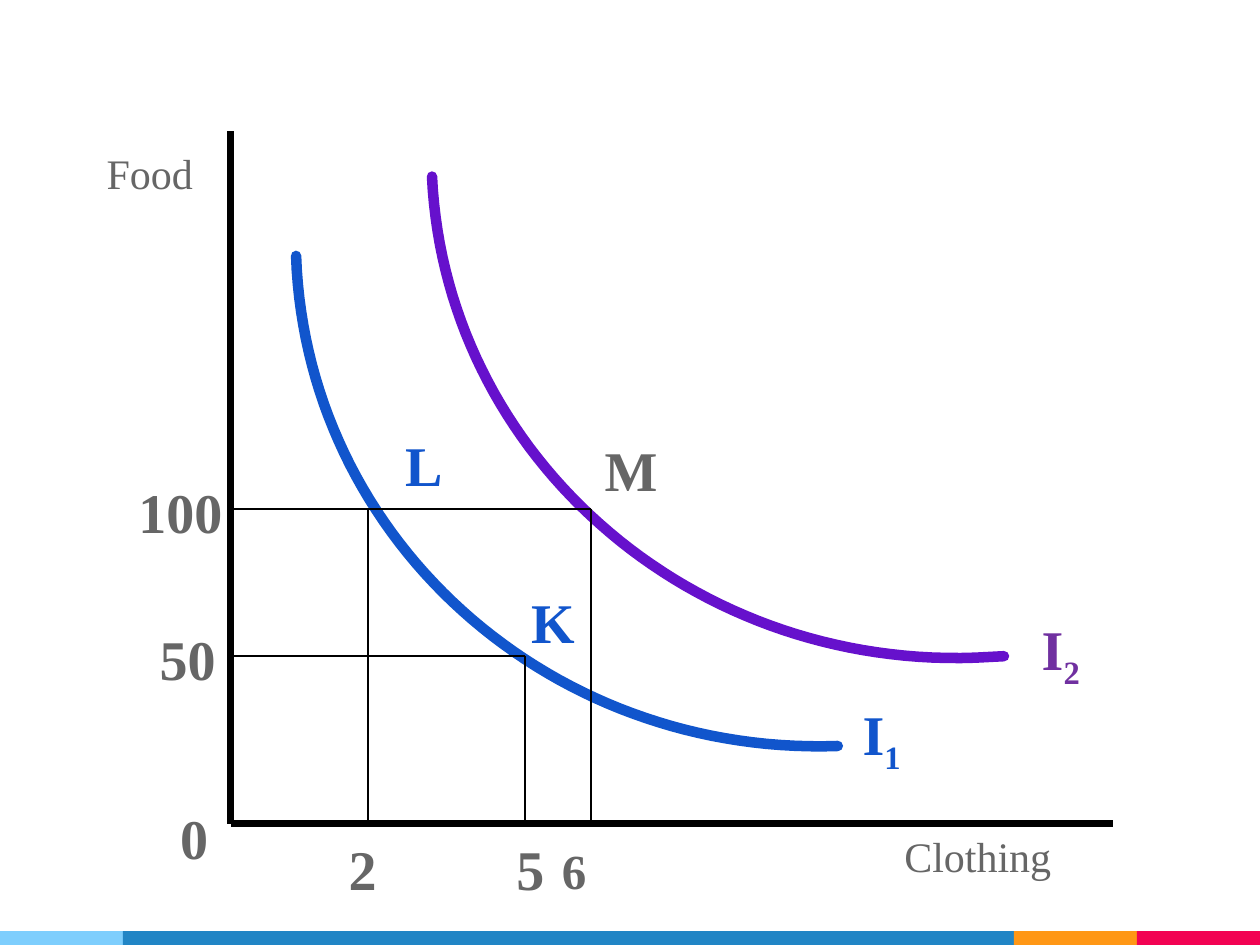
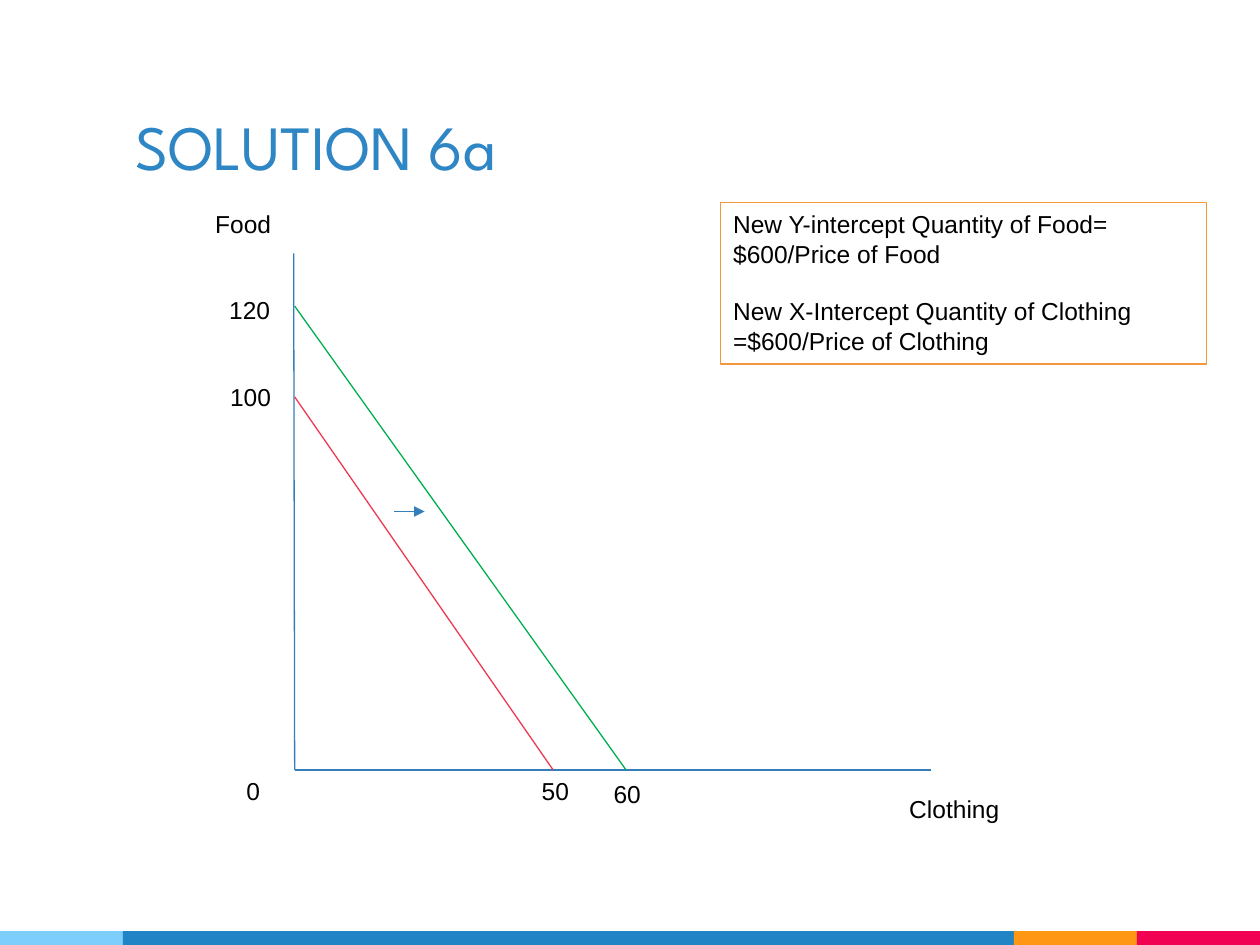
"""Build two economics slides: indifference curves and a budget line shift."""
from lxml import etree
from pptx import Presentation
from pptx.dml.color import RGBColor
from pptx.enum.shapes import MSO_CONNECTOR, MSO_SHAPE
from pptx.enum.text import MSO_ANCHOR, PP_ALIGN
from pptx.oxml.ns import qn
from pptx.util import Cm, Pt

STRAIGHT = MSO_CONNECTOR.STRAIGHT
RECTANGLE = MSO_SHAPE.RECTANGLE
TOP, BOTTOM = MSO_ANCHOR.TOP, MSO_ANCHOR.BOTTOM
LEFT, RIGHT = PP_ALIGN.LEFT, PP_ALIGN.RIGHT

COLORS = {
    "sky": "7ECEFD", "blue": "2185C5", "orange": "FF9715", "pink": "F20253",
    "black": "000000", "gray": "666666", "curve_blue": "1155CC",
    "curve_purple": "6611CC", "label_purple": "7030A0", "title": "2F86C5",
    "axis": "367EB9", "red": "ED3A53", "green": "00B050", "frame": "F4963D",
}
SERIF, SANS, TITLE_FONT = "Times New Roman", "Arial", "League Spartan"

BANDS = [("sky", 2.48), ("blue", 17.96), ("orange", 2.48), ("pink", 2.48)]
BAND_TOP, BAND_HEIGHT = 18.77, 0.28

CURVE_ORIGIN = (4.65, 16.61)
CURVE_AXIS_ENDS = [(4.65, 2.64), (22.43, 16.61)]
CURVES = [
    {"color": "curve_blue", "lead": [],
     "controls": [(16.89, 15.04), (11.05, 15.24), (6.17, 10.85), (5.97, 5.16)]},
    {"color": "curve_purple", "lead": [(20.24, 13.23)],
     "controls": [(19.66, 13.26), (13.84, 13.46), (8.97, 9.12), (8.71, 3.56)]},
]
BUNDLE_GUIDES = [(4.65, 7.42, 10.26), (4.65, 10.59, 13.23), (7.42, 11.92, 10.26)]
AXIS_NAMES = [
    ("Clothing", 17.98, 15.98, 4.88, 1.9),
    ("Food", 1.9, 2.21, 3.38, 1.9),
]
CURVE_LABELS = [
    ("0", "", 3.38, 15.98, 1.47, "gray"),
    ("2", "", 6.78, 16.61, 1.47, "gray"),
    ("5", "", 10.16, 16.61, 1.47, "gray"),
    ("50", "", 2.97, 12.37, 2.11, "gray"),
    ("100", "", 2.54, 9.42, 2.74, "gray"),
    ("I", "1", 17.14, 14.07, 1.47, "curve_blue"),
    ("I", "2", 20.75, 12.37, 1.47, "label_purple"),
    ("L", "", 7.92, 8.46, 1.47, "curve_blue"),
    ("K", "", 10.46, 11.63, 1.47, "curve_blue"),
    ("M", "", 11.94, 8.56, 1.7, "gray"),
]

BUDGET_ORIGIN = (5.94, 15.52)
BUDGET_AXIS_ENDS = [(5.92, 5.11), (18.77, 15.52)]
BUDGET_LINES = [("red", 8.0, 11.15), ("green", 6.17, 12.62)]
SHIFT_ARROW = [(7.95, 10.31), (8.56, 10.31)]
BUDGET_LABELS = [
    ("Food", 4.09, 4.09, 1.63),
    ("Clothing", 18.08, 15.88, 2.95),
    ("0", 4.72, 15.52, 1.24),
    ("100", 4.39, 7.57, 1.35),
    ("50", 10.67, 15.52, 1.4),
    ("120", 4.37, 5.82, 1.55),
    ("60", 12.12, 15.57, 1.14),
]
INTERCEPT_NOTES = [
    ("New Y-intercept Quantity of Food= $600/Price of Food", 0),
    ("New X-Intercept Quantity of Clothing", 16),
    ("=$600/Price of Clothing", 0),
]


def rgb(color):
    return RGBColor.from_string(COLORS[color])


def style_font(font, name, size, color, bold=False):
    font.name, font.size, font.bold = name, Pt(size), bold
    font.color.rgb = rgb(color)


def set_frame(frame, anchor, margin=0.13):
    frame.word_wrap = True
    frame.vertical_anchor = anchor
    frame.margin_left = frame.margin_right = Cm(0.25)
    frame.margin_top = frame.margin_bottom = Cm(margin)


def add_rectangle(page, left, top, width, height):
    box = page.shapes.add_shape(RECTANGLE, Cm(left), Cm(top), Cm(width), Cm(height))
    box.shadow.inherit = False
    return box


def add_label(page, text, area, font, anchor=TOP, align=LEFT, margin=0.13):
    box = page.shapes.add_textbox(*map(Cm, area))
    set_frame(box.text_frame, anchor, margin)
    para = box.text_frame.paragraphs[0]
    para.text = text
    para.alignment = align
    style_font(para.font, *font)
    return para


def add_line(page, start, end, color, width, arrow=False):
    line = page.shapes.add_connector(STRAIGHT, *map(Cm, (*start, *end)))
    line.line.color.rgb = rgb(color)
    line.line.width = Pt(width)
    if arrow:
        etree.SubElement(line.line._get_or_add_ln(), qn("a:tailEnd"), type="triangle")
    etree.SubElement(line._element.spPr, qn("a:effectLst"))


def add_axes(page, origin, ends, color, width):
    for end in ends:
        add_line(page, origin, end, color, width)


def bezier_points(controls, steps=60):
    points = []
    for step in range(steps + 1):
        t = step / steps
        weights = ((1 - t) ** 3, 3 * t * (1 - t) ** 2, 3 * t * t * (1 - t), t ** 3)
        points.append(tuple(sum(w * point[axis] for w, point in zip(weights, controls))
                            for axis in (0, 1)))
    return points


def add_curve(page, color, lead, controls):
    points = [(Cm(x), Cm(y)) for x, y in lead + bezier_points(controls)]
    builder = page.shapes.build_freeform(*points[0])
    builder.add_line_segments(points[1:], close=False)
    curve = builder.convert_to_shape()
    curve.shadow.inherit = False
    curve.fill.background()
    curve.line.color.rgb = rgb(color)
    curve.line.width = Pt(6)
    curve.line._get_or_add_ln().set("cap", "rnd")


def add_page(deck):
    page = deck.slides.add_slide(deck.slide_layouts[6])
    left = 0
    for color, width in BANDS:
        band = add_rectangle(page, left, BAND_TOP, width, BAND_HEIGHT)
        band.fill.solid()
        band.fill.fore_color.rgb = rgb(color)
        band.line.fill.background()
        left += width
    return page


def build_indifference_page(deck):
    page = add_page(deck)
    add_axes(page, CURVE_ORIGIN, CURVE_AXIS_ENDS, "black", 4)
    for curve in CURVES:
        add_curve(page, **curve)
    for start, x, y in BUNDLE_GUIDES:
        add_line(page, (start, y), (x, y), "black", 1)
        add_line(page, (x, y), (x, CURVE_ORIGIN[1]), "black", 1)
    for text, *area in AXIS_NAMES:
        add_label(page, text, area, (SERIF, 24, "gray"), BOTTOM)
    for text, subscript, left, top, width, color in CURVE_LABELS:
        para = add_label(page, text, (left, top, width, 1.7),
                         (SERIF, 32, color, True), BOTTOM)
        if subscript:
            span = para.add_run()
            span.text = subscript
            span._r.get_or_add_rPr().set("baseline", "-25000")
    add_label(page, "6", (11, 16.81, 1.07, 1.45), (SERIF, 28, "gray", True), BOTTOM, RIGHT)


def build_budget_page(deck):
    page = add_page(deck)
    add_label(page, "SOLUTION 6a", (2.48, 0.76, 17.96, 3.18),
              (TITLE_FONT, 36, "title"), BOTTOM, margin=0.25)
    add_axes(page, BUDGET_ORIGIN, BUDGET_AXIS_ENDS, "axis", 0.75)
    for color, food, clothing in BUDGET_LINES:
        add_line(page, (BUDGET_ORIGIN[0], food), (clothing, BUDGET_ORIGIN[1]), color, 0.75)
    add_line(page, *SHIFT_ARROW, "axis", 0.75, arrow=True)
    for text, left, top, width in BUDGET_LABELS:
        add_label(page, text, (left, top, width, 0.86), (SANS, 14, "black"))

    box = add_rectangle(page, 14.53, 4.09, 9.8, 3.25)
    box.fill.background()
    box.line.color.rgb = rgb("frame")
    box.line.width = Pt(0.75)
    frame = box.text_frame
    set_frame(frame, TOP)
    for index, (text, gap) in enumerate(INTERCEPT_NOTES):
        para = frame.add_paragraph() if index else frame.paragraphs[0]
        para.text = text
        para.alignment = LEFT
        if gap:
            para.space_before = Pt(gap)
        style_font(para.font, SANS, 14, "black")


def main():
    deck = Presentation()
    deck.slide_width, deck.slide_height = Cm(25.4), Cm(19.05)
    build_indifference_page(deck)
    build_budget_page(deck)
    deck.save("out.pptx")


if __name__ == "__main__":
    main()
